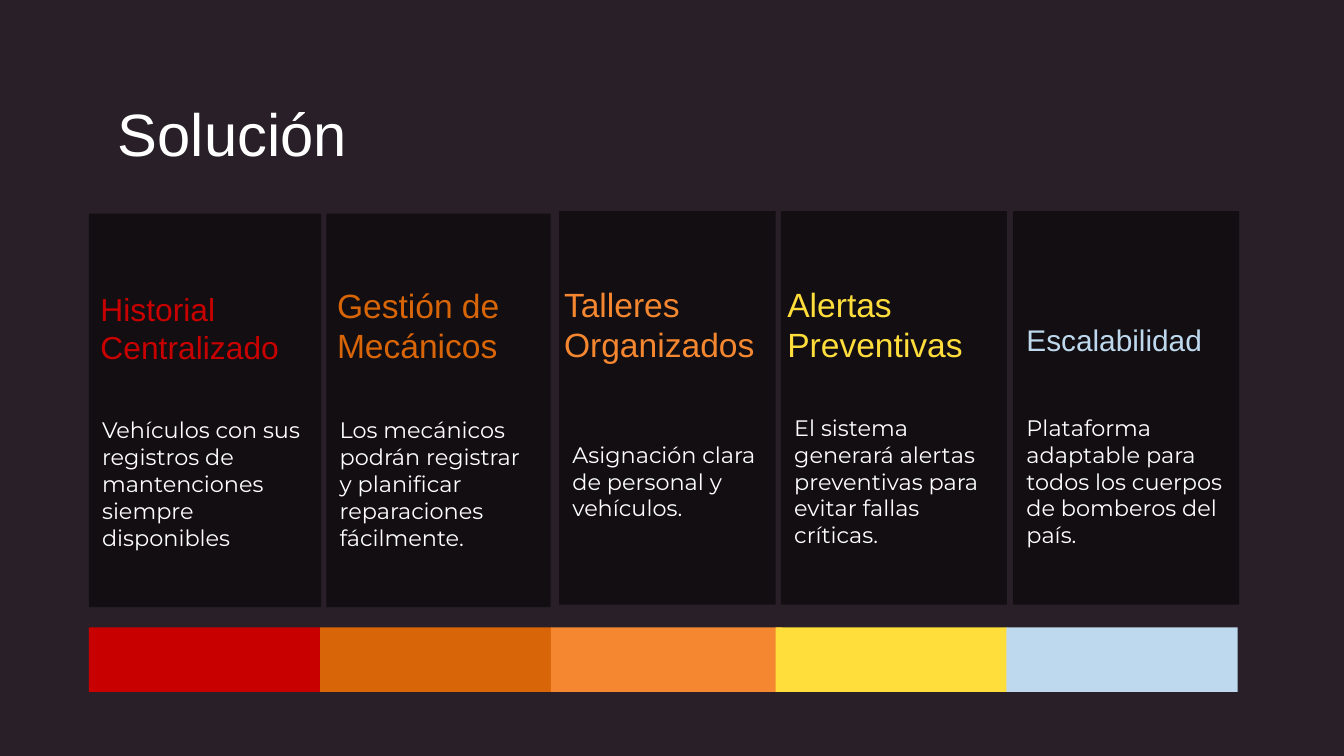
from collections import namedtuple

from lxml import etree
from pptx import Presentation
from pptx.dml.color import RGBColor
from pptx.enum.shapes import MSO_SHAPE
from pptx.enum.text import MSO_ANCHOR
from pptx.oxml.ns import qn
from pptx.util import Cm, Pt

WHITE = "FFFFFF"
INSET = 0.25

Box = namedtuple("Box", "left top width height")
Feature = namedtuple("Feature", "heading size color detail card bar_left heading_left heading_top")

CARD_HEIGHT = 7.44
FEATURES = [
    Feature("Historial Centralizado", 17, "C90000",
            "Vehículos con sus registros de mantenciones siempre disponibles",
            Box(1.68, 4.04, 4.39, CARD_HEIGHT), 1.68, 1.65, 5.89),
    Feature("Gestión de Mecánicos", 18, "D86507",
            "Los mecánicos podrán registrar y planificar reparaciones fácilmente.",
            Box(6.17, 4.04, 4.24, CARD_HEIGHT), 6.05, 6.12, 5.89),
    Feature("Talleres Organizados", 18, "F4872F",
            "Asignación clara de personal y vehículos.",
            Box(10.57, 3.99, 4.09, CARD_HEIGHT), 10.41, 10.41, 5.87),
    Feature("Alertas Preventivas", 18, "FFDE3B",
            "El sistema generará alertas preventivas para evitar fallas críticas.",
            Box(14.76, 3.99, 4.27, CARD_HEIGHT), 14.66, 14.63, 5.87),
    Feature("Escalabilidad", 16, "BED9ED",
            "Plataforma adaptable para todos los cuerpos de bomberos del país.",
            Box(19.15, 3.99, 4.27, CARD_HEIGHT), 19.02, 19.15, 5.74),
]


def rgb(color):
    return RGBColor.from_string(color)


def lengths(box):
    return [Cm(value) for value in box]


def add_block(shapes, box, color, opacity=100):
    block = shapes.add_shape(MSO_SHAPE.RECTANGLE, *lengths(box))
    block.shadow.inherit = False
    block.line.fill.background()
    block.fill.solid()
    block.fill.fore_color.rgb = rgb(color)
    if opacity < 100:
        tint = block.fill._xPr.find(f".//{qn('a:srgbClr')}")
        etree.SubElement(tint, qn("a:alpha"), val=str(opacity * 1000))


def add_text(shapes, box, text, size, color, font="Arial",
             anchor=MSO_ANCHOR.TOP, top_inset=INSET):
    frame = shapes.add_textbox(*lengths(box)).text_frame
    frame.word_wrap = True
    frame.vertical_anchor = anchor
    frame.margin_left = frame.margin_right = frame.margin_bottom = Cm(INSET)
    frame.margin_top = Cm(top_inset)
    run = frame.paragraphs[0].add_run()
    run.text = text
    run.font.size = Pt(size)
    run.font.name = font
    run.font.color.rgb = rgb(color)


def add_card(slide, box, detail):
    group = slide.shapes.add_group_shape()
    add_block(group.shapes, box, "000000", opacity=53)
    detail_box = box._replace(top=box.top + 3.06, height=4.09)
    add_text(group.shapes, detail_box, detail, 12, WHITE, "Montserrat", MSO_ANCHOR.MIDDLE)


def add_title(slide, box):
    add_text(slide.shapes, box, "Solución", 32, WHITE, top_inset=0.36)


def add_color_strip(slide, top, width, height):
    for feature in FEATURES:
        add_block(slide.shapes, Box(feature.bar_left, top, width, height), feature.color)


def add_headings(slide, width, height):
    for feature in FEATURES:
        box = Box(feature.heading_left, feature.heading_top, width, height)
        add_text(slide.shapes, box, feature.heading, feature.size, feature.color,
                 anchor=MSO_ANCHOR.BOTTOM)


def main():
    deck = Presentation()
    deck.slide_width, deck.slide_height = Cm(25.4), Cm(14.29)
    slide = deck.slides.add_slide(deck.slide_layouts[6])
    slide.background.fill.solid()
    slide.background.fill.fore_color.rgb = rgb("281F28")

    for feature in FEATURES:
        add_card(slide, feature.card, feature.detail)
    add_title(slide, Box(1.98, 1.47, 21.41, 1.45))
    add_color_strip(slide, top=11.86, width=4.37, height=1.22)
    add_headings(slide, width=4.39, height=1.27)
    deck.save("out.pptx")


if __name__ == "__main__":
    main()
